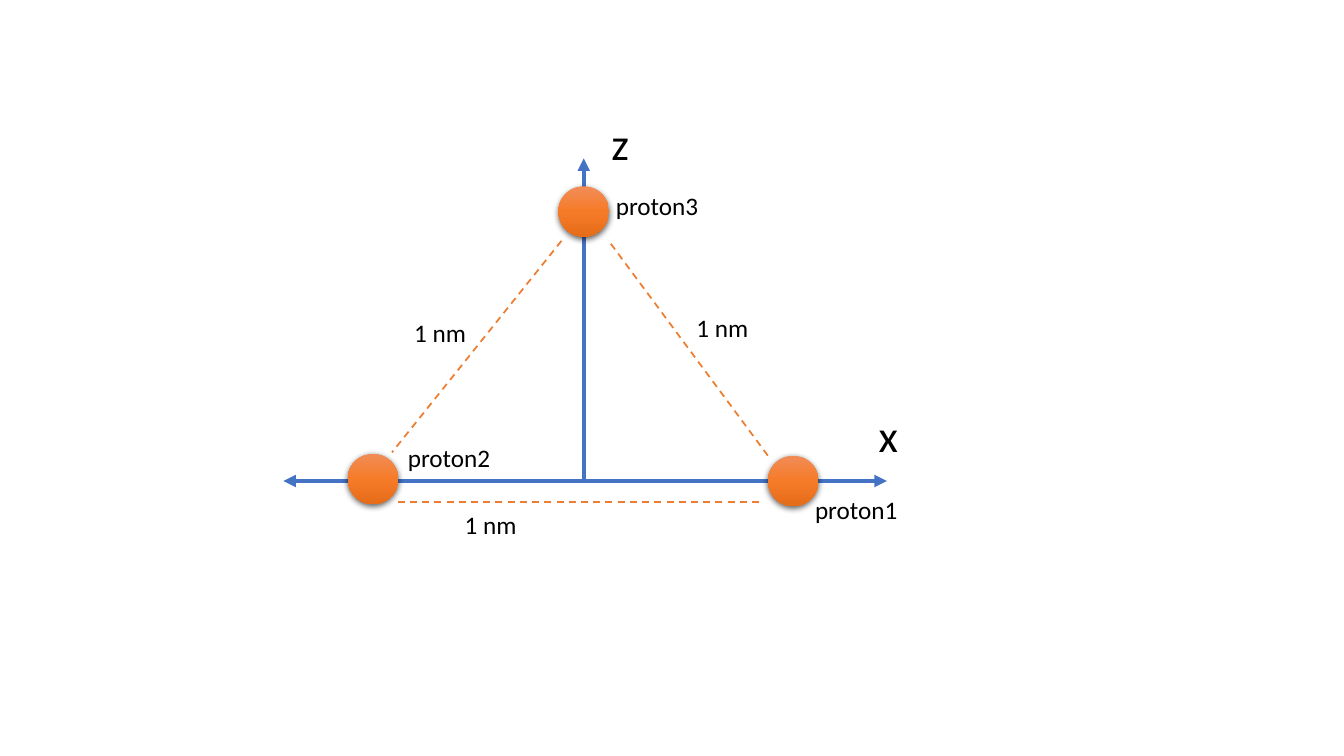
from lxml.etree import SubElement
from pptx import Presentation
from pptx.dml.color import RGBColor
from pptx.enum.dml import MSO_LINE
from pptx.enum.shapes import MSO_CONNECTOR, MSO_SHAPE
from pptx.enum.text import MSO_AUTO_SIZE
from pptx.oxml.ns import qn
from pptx.util import Cm, Pt

COLORS = {
    "text": "000000",
    "axis": "4472C4",
    "bond": "ED7D31",
    "proton_top": "F18C57",
    "proton_middle": "F67B28",
    "proton_bottom": "E56C19",
    "shadow": "000000",
}
FONT = "Calibri"
PROTON_DIAMETER = 1.27

# All positions are in centimetres from the corner of the diagram.
AXES = [
    ((7.57, 9.33), (7.57, 1.2), ["tailEnd"]),
    ((0, 9.33), (15.21, 9.33), ["headEnd", "tailEnd"]),
]
AXIS_NAMES = [("x", 14.75, 7.37, 1.02), ("z", 8.02, 0, 0.97)]
# name, centre of the proton, corner of its label
PROTONS = [
    ("proton1", (12.85, 9.33), (13.15, 9.55)),
    ("proton2", (2.26, 9.28), (2.89, 8.23)),
    ("proton3", (7.57, 2.54), (8.13, 1.88)),
]
# start, end, corner of the length label
BONDS = [
    ((7.01, 3.28), (2.74, 8.61), (3.05, 5.08)),
    ((12.21, 8.69), (8.2, 3.28), (10.16, 4.96)),
    ((11.99, 9.86), (2.89, 9.86), (4.32, 9.91)),
]


def add_text(slide, text, left, top, width, height=1.02, size=18, color="text"):
    box = slide.shapes.add_textbox(Cm(left), Cm(top), Cm(width), Cm(height))
    frame = box.text_frame
    frame.word_wrap = False
    frame.auto_size = MSO_AUTO_SIZE.SHAPE_TO_FIT_TEXT
    run = frame.paragraphs[0].add_run()
    run.text = text
    run.font.name = FONT
    run.font.size = Pt(size)
    run.font.color.rgb = RGBColor.from_string(COLORS[color])


def add_line(slide, start, end, color, width, dash=None, arrowheads=()):
    """Draw a straight line; arrowheads lists headEnd (start) and tailEnd (end)."""
    connector = slide.shapes.add_connector(
        MSO_CONNECTOR.STRAIGHT, *(Cm(value) for value in (*start, *end)))
    connector.line.color.rgb = RGBColor.from_string(COLORS[color])
    connector.line.width = Pt(width)
    if dash is not None:
        connector.line.dash_style = dash
    outline = connector.line._get_or_add_ln()
    for arrowhead in arrowheads:
        SubElement(outline, qn(f"a:{arrowhead}"), type="triangle")
    SubElement(connector._element.spPr, qn("a:effectLst"))


def add_color(parent, color):
    return SubElement(parent, qn("a:srgbClr"), val=COLORS[color])


def add_proton(slide, center_x, center_y):
    radius = PROTON_DIAMETER / 2
    proton = slide.shapes.add_shape(
        MSO_SHAPE.OVAL, Cm(center_x - radius), Cm(center_y - radius),
        Cm(PROTON_DIAMETER), Cm(PROTON_DIAMETER))
    proton.line.fill.background()
    proton.fill.gradient()
    proton.fill.gradient_angle = 270
    properties = proton._element.spPr
    stops = properties.find(f".//{qn('a:gsLst')}")
    for stop in list(stops):
        stops.remove(stop)
    for percent, part in ((0, "top"), (50, "middle"), (100, "bottom")):
        stop = SubElement(stops, qn("a:gs"), pos=str(percent * 1000))
        add_color(stop, f"proton_{part}")

    proton.shadow.inherit = False
    shadow = SubElement(
        properties.find(qn("a:effectLst")), qn("a:outerShdw"),
        blurRad=str(Pt(4.5)), dist=str(Pt(1.5)), dir="5400000",
        algn="ctr", rotWithShape="0")
    SubElement(add_color(shadow, "shadow"), qn("a:alpha"), val="63000")


def draw_proton_triangle(slide, left, top):
    """Draw the axes, the protons and their distances from the given corner."""
    def place(point):
        return left + point[0], top + point[1]

    for start, end, arrowheads in AXES:
        add_line(slide, place(start), place(end), "axis", 3, arrowheads=arrowheads)
    for name, name_left, name_top, width in AXIS_NAMES:
        add_text(slide, name, *place((name_left, name_top)), width, 1.63, size=32)
    for name, center, label in PROTONS:
        add_proton(slide, *place(center))
        add_text(slide, name, *place(label), 2.62)
    for start, end, label in BONDS:
        add_line(slide, place(start), place(end), "bond", 1.25, dash=MSO_LINE.DASH)
        add_text(slide, "1 nm", *place(label), 1.83)


def main():
    presentation = Presentation()
    presentation.slide_width = Cm(33.87)
    presentation.slide_height = Cm(19.05)
    slide = presentation.slides.add_slide(presentation.slide_layouts[6])
    draw_proton_triangle(slide, left=7.14, top=2.79)
    presentation.save("out.pptx")


if __name__ == "__main__":
    main()
